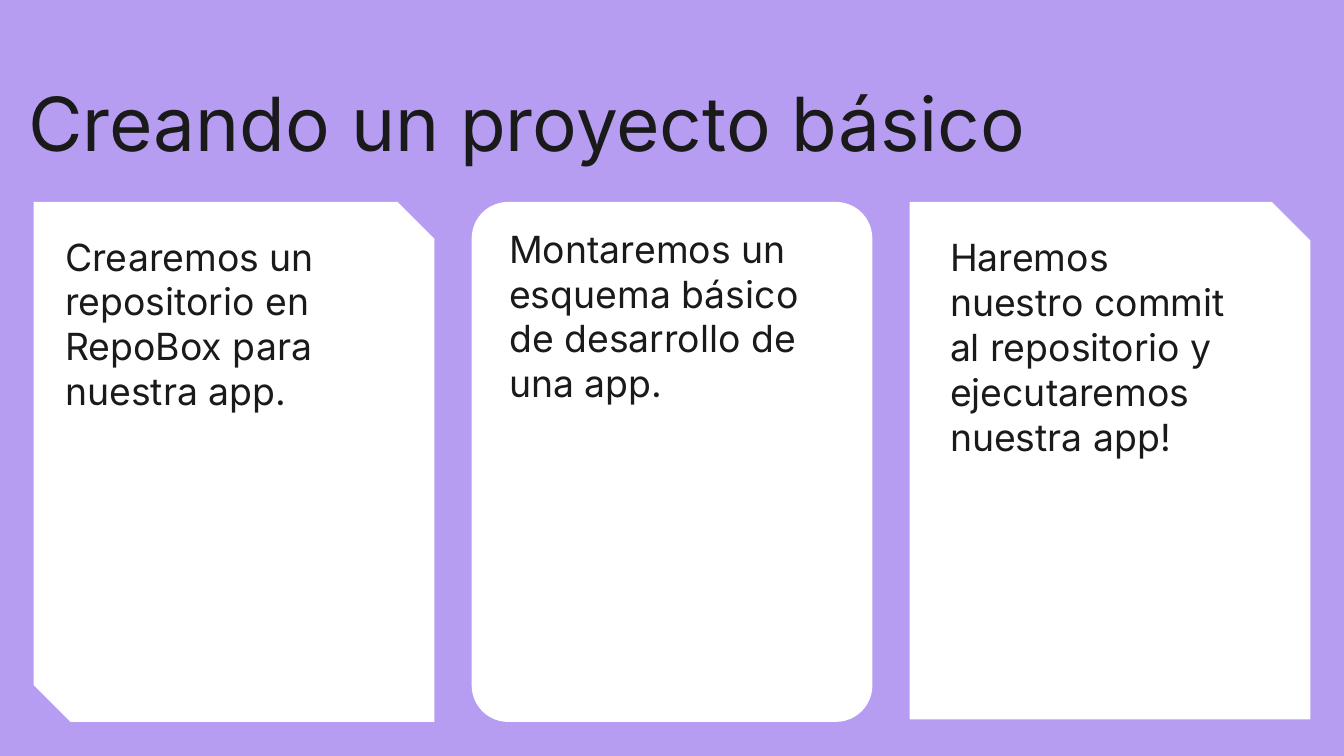
from collections import namedtuple
from dataclasses import dataclass

from pptx import Presentation
from pptx.dml.color import RGBColor
from pptx.enum.shapes import MSO_SHAPE
from pptx.enum.text import MSO_ANCHOR, PP_ALIGN
from pptx.util import Pt

Box = namedtuple("Box", "left top width height")
Card = namedtuple("Card", "outline adjustments inset height text")


@dataclass(frozen=True)
class Theme:
    """Colours, font and type sizes of the deck."""
    background: RGBColor = RGBColor.from_string("B69DF1")
    card: RGBColor = RGBColor.from_string("FFFFFF")
    ink: RGBColor = RGBColor.from_string("1A1A1A")
    font: str = "Inter"
    title_size: int = 40
    card_size: int = 20


THEME = Theme()
CARDS = [
    Card(MSO_SHAPE.SNIP_2_DIAG_RECTANGLE, (0, 0.092), 7.2, 278.6,
         "Crearemos un repositorio en RepoBox para nuestra app."),
    Card(MSO_SHAPE.ROUNDED_RECTANGLE, (0.091,), 14.4, 278.6,
         "Montaremos un esquema básico de desarrollo de una app."),
    Card(MSO_SHAPE.SNIP_1_RECTANGLE, (0.096,), 21.6, 277.2,
         "Haremos nuestro commit al repositorio y ejecutaremos nuestra app!"),
]


def write_text(shape, text, size, side_inset, bottom_inset, anchor):
    """Fill a shape with one left-aligned paragraph in the theme's type."""
    frame = shape.text_frame
    frame.text = text
    frame.word_wrap = True
    frame.vertical_anchor = anchor
    frame.margin_left = frame.margin_right = Pt(side_inset)
    frame.margin_top, frame.margin_bottom = Pt(7.2), Pt(bottom_inset)
    para = frame.paragraphs[0]
    para.alignment = PP_ALIGN.LEFT
    for span in para.runs:
        span.font.name = THEME.font
        span.font.size = Pt(size)
        span.font.color.rgb = THEME.ink


def place_title(page, box, text):
    """Move the title placeholder into the box and format it."""
    title = page.shapes.title
    title.left, title.top, title.width, title.height = map(Pt, box)
    write_text(title, text, THEME.title_size, 7.2, 7.2, MSO_ANCHOR.BOTTOM)


def place_card(page, box, card):
    """Draw one white card with its text in the box."""
    shape = page.shapes.add_shape(card.outline, *map(Pt, box))
    shape.shadow.inherit = False
    shape.fill.solid()
    shape.fill.fore_color.rgb = THEME.card
    shape.line.fill.background()
    for index, value in enumerate(card.adjustments):
        shape.adjustments[index] = value
    write_text(shape, card.text, THEME.card_size, card.inset, 21.6, MSO_ANCHOR.TOP)


def place_card_row(page, box, cards, gap):
    """Spread the cards over the box in equal columns."""
    width = (box.width - gap * (len(cards) - 1)) / len(cards)
    for column, card in enumerate(cards):
        left = box.left + column * (width + gap)
        place_card(page, Box(left, box.top, width, card.height), card)


def main():
    """Build the slide and save the deck."""
    deck = Presentation()
    deck.slide_width, deck.slide_height = Pt(720), Pt(405)
    page = deck.slides.add_slide(deck.slide_layouts.get_by_name("Title Only"))
    page.background.fill.solid()
    page.background.fill.fore_color.rgb = THEME.background
    place_title(page, Box(8, 33.2, 671, 63.4), "Creando un proyecto básico")
    place_card_row(page, Box(18, 108.2, 684, 278.6), CARDS, gap=20)
    deck.save("out.pptx")


if __name__ == "__main__":
    main()
